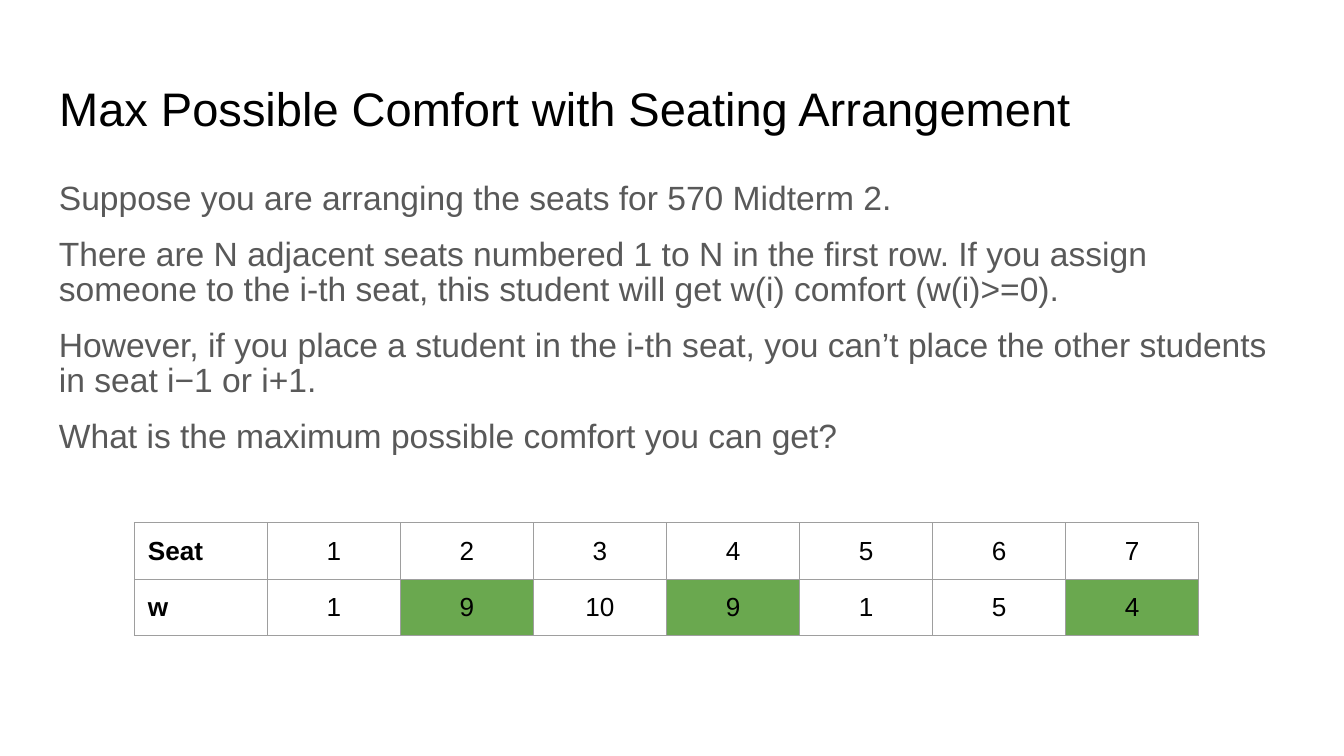
from lxml import etree
from pptx import Presentation
from pptx.dml.color import RGBColor
from pptx.enum.text import MSO_ANCHOR, PP_ALIGN
from pptx.oxml.ns import qn
from pptx.util import Inches, Pt

BLACK = RGBColor(0x00, 0x00, 0x00)
GRAY = RGBColor(0x59, 0x59, 0x59)
GREEN = RGBColor(0x6A, 0xA8, 0x4F)
EDGE = RGBColor(0x9E, 0x9E, 0x9E)
LEFT, CENTER = PP_ALIGN.LEFT, PP_ALIGN.CENTER
TOP, MIDDLE = MSO_ANCHOR.TOP, MSO_ANCHOR.MIDDLE

TITLE = "Max Possible Comfort with Seating Arrangement"
BODY = [
    "Suppose you are arranging the seats for 570 Midterm 2.",
    "There are N adjacent seats numbered 1 to N in the first row. If you "
    "assign someone to the i-th seat, this student will get w(i) comfort "
    "(w(i)>=0).",
    "However, if you place a student in the i-th seat, you can’t place the "
    "other students in seat i−1 or i+1.",
    "What is the maximum possible comfort you can get?",
]
ROWS = [
    ["Seat", 1, 2, 3, 4, 5, 6, 7],
    ["w", 1, 9, 10, 9, 1, 5, 4],
]
CHOSEN = {2, 4, 7}  # seats that are taken


def pad(box, anchor=TOP, bottom=0.1):
    """Set the insets and anchor of a text frame or a cell."""
    box.margin_left = box.margin_right = box.margin_top = Inches(0.1)
    box.margin_bottom = Inches(bottom)
    box.vertical_anchor = anchor


def write(frame, lines, size=18, color=BLACK, bold=False, align=LEFT,
          spacing=None, gap=0):
    """Fill a text frame with one paragraph for each line."""
    for i, line in enumerate(lines):
        para = frame.add_paragraph() if i else frame.paragraphs[0]
        para.alignment = align
        para.line_spacing = spacing
        para.space_before = Pt(gap if i else 0)
        run = para.add_run()
        run.text = line
        font = run.font
        font.name, font.size, font.bold = "Arial", Pt(size), bold
        font.color.rgb = color


def add_title(slide):
    title = slide.shapes.title
    title.left, title.top = Inches(0.34), Inches(0.49)
    title.width, title.height = Inches(9.32), Inches(0.63)
    frame = title.text_frame
    frame.word_wrap = True
    pad(frame, MIDDLE)
    write(frame, [TITLE], size=25.2)


def add_body(slide):
    box = slide.shapes.add_textbox(
        Inches(0.34), Inches(1.26), Inches(9.24), Inches(2.48))
    frame = box.text_frame
    frame.word_wrap = True
    pad(frame)
    write(frame, BODY, color=GRAY, spacing=0.85, gap=12)


def add_edges(cell):
    """Draw a thin line on all four sides; lines go before the fill."""
    props = cell._tc.get_or_add_tcPr()
    for i, side in enumerate(("lnL", "lnR", "lnT", "lnB")):
        line = etree.Element(qn(f"a:{side}"), w=str(Pt(0.75)))
        fill = etree.SubElement(line, qn("a:solidFill"))
        etree.SubElement(fill, qn("a:srgbClr"), val=str(EDGE))
        props.insert(i, line)


def add_grid(slide):
    count = len(ROWS[0])
    table = slide.shapes.add_table(
        len(ROWS), count, Inches(1), Inches(3.89),
        Inches(0.99 * count), Inches(0.42 * len(ROWS))).table
    table.first_row = table.horz_banding = False
    for r, row in enumerate(ROWS):
        for c, value in enumerate(row):
            cell = table.cell(r, c)
            pad(cell, bottom=0.08)  # keeps the row at its set height
            if r == 1 and c in CHOSEN:
                cell.fill.solid()
                cell.fill.fore_color.rgb = GREEN
            else:
                cell.fill.background()
            add_edges(cell)
            write(cell.text_frame, [str(value)], size=14, bold=c == 0,
                  align=CENTER if c else LEFT)


def main():
    deck = Presentation()
    deck.slide_width = Inches(10)
    deck.slide_height = deck.slide_width * 9 // 16
    slide = deck.slides.add_slide(deck.slide_layouts[5])
    add_title(slide)
    add_body(slide)
    add_grid(slide)
    deck.save("out.pptx")


if __name__ == "__main__":
    main()
